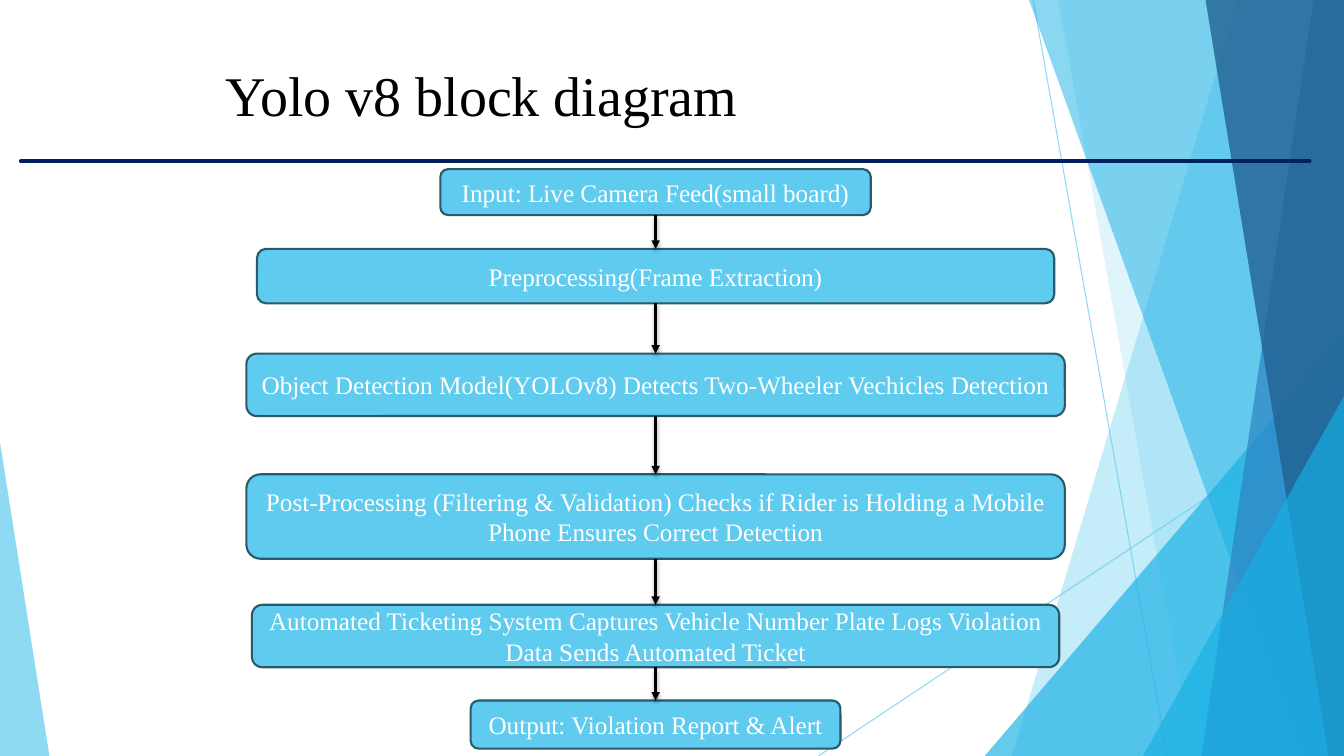
from lxml import etree
from pptx import Presentation
from pptx.dml.color import RGBColor
from pptx.enum.shapes import MSO_CONNECTOR, MSO_SHAPE
from pptx.enum.text import MSO_ANCHOR, MSO_AUTO_SIZE, PP_ALIGN
from pptx.oxml.ns import qn
from pptx.util import Pt

STRAIGHT = MSO_CONNECTOR.STRAIGHT
ROUND = MSO_SHAPE.ROUNDED_RECTANGLE
TRIANGLE = MSO_SHAPE.ISOSCELES_TRIANGLE
MIDDLE = MSO_ANCHOR.MIDDLE
GROW = MSO_AUTO_SIZE.SHAPE_TO_FIT_TEXT
LEFT, CENTER = PP_ALIGN.LEFT, PP_ALIGN.CENTER

SKY = RGBColor(0x5F, 0xCB, 0xEF)
CYAN = RGBColor(0x17, 0xB0, 0xE4)
BLUE = RGBColor(0x2E, 0x83, 0xC3)
DEEP = RGBColor(0x22, 0x62, 0x92)
NAVY = RGBColor(0x00, 0x20, 0x60)
EDGE = RGBColor(0x2A, 0x59, 0x69)
BLACK = RGBColor(0, 0, 0)
WHITE = RGBColor(255, 255, 255)

WIDTH, HEIGHT = 960, 540
AXIS = 468.3  # centre line of the flow


def write(frame, text, size=18, color=WHITE, align=CENTER):
    frame.word_wrap = True
    para = frame.paragraphs[0]
    para.alignment = align
    run = para.add_run()
    run.text = text
    run.font.name = "Times New Roman"
    run.font.size = Pt(size)
    run.font.color.rgb = color


def fade(node, percent):
    """Set the opacity of the colour inside a fill or line."""
    color = next(node.iter(qn("a:srgbClr")))
    etree.SubElement(color, qn("a:alpha"), val=str(percent * 1000))


class Deck:
    def __init__(self, slide, font_size=18):
        self.shapes = slide.shapes
        self.size = font_size

    def paint(self, shape, color, alpha):
        shape.shadow.inherit = False
        shape.fill.solid()
        shape.fill.fore_color.rgb = color
        shape.line.fill.background()
        fade(shape._element.spPr.find(qn("a:solidFill")), alpha)

    def facet(self, top, base, color, alpha):
        """Fill from a slanted left edge to the right side of the slide."""
        path = self.shapes.build_freeform(Pt(top), 0)
        corners = [(WIDTH, 0), (WIDTH, HEIGHT), (base, HEIGHT)]
        path.add_line_segments([(Pt(x), Pt(y)) for x, y in corners])
        self.paint(path.convert_to_shape(), color, alpha)

    def wedge(self, left, top, width, apex, color, alpha):
        """Triangle that stands on the bottom of the slide."""
        shape = self.shapes.add_shape(
            TRIANGLE, Pt(left), Pt(top), Pt(width), Pt(HEIGHT - top))
        shape.adjustments[0] = apex
        self.paint(shape, color, alpha)

    def line(self, x1, y1, x2, y2, color, width):
        link = self.shapes.add_connector(
            STRAIGHT, Pt(x1), Pt(y1), Pt(x2), Pt(y2))
        link.line.color.rgb = color
        link.line.width = Pt(width)
        etree.SubElement(link._element.spPr, qn("a:effectLst"))
        return link

    def arrow(self, start, end):
        link = self.line(AXIS, 0, AXIS, 0, BLACK, 2)
        link.begin_connect(start, 2)
        link.end_connect(end, 0)
        etree.SubElement(link.line._ln, qn("a:tailEnd"), type="triangle")
        effects = link._element.spPr.find(qn("a:effectLst"))
        shadow = etree.SubElement(
            effects, qn("a:outerShdw"), blurRad=str(Pt(3)), dist=str(Pt(2)),
            dir="5400000", rotWithShape="0")
        etree.SubElement(shadow, qn("a:srgbClr"), val=str(BLACK))
        fade(shadow, 35)

    def title(self, text, left, top, width, height):
        box = self.shapes.add_textbox(
            Pt(left), Pt(top), Pt(width), Pt(height))
        write(box.text_frame, text, size=40, color=BLACK, align=LEFT)
        box.text_frame.auto_size = GROW

    def step(self, text, top, width, height):
        box = self.shapes.add_shape(
            ROUND, Pt(AXIS - width / 2), Pt(top), Pt(width), Pt(height))
        box.shadow.inherit = False
        box.fill.solid()
        box.fill.fore_color.rgb = SKY
        box.line.color.rgb = EDGE
        box.line.width = Pt(1.5)
        box.text_frame.vertical_anchor = MIDDLE
        write(box.text_frame, text, size=self.size)
        return box


# Text, top, width and height of each box
STEPS = [
    ("Input: Live Camera Feed(small board)", 120.8, 307.4, 32.8),
    ("Preprocessing(Frame Extraction)", 177.8, 569.5, 38.9),
    ("Object Detection Model(YOLOv8) Detects Two-Wheeler Vechicles Detection",
     252.6, 584.6, 44.6),
    ("Post-Processing (Filtering & Validation) Checks if Rider is Holding "
     "a Mobile Phone Ensures Correct Detection", 338.8, 584.6, 60.3),
    ("Automated Ticketing System Captures Vehicle Number Plate Logs "
     "Violation Data Sends Automated Ticket", 432, 576.7, 44.6),
    ("Output: Violation Report & Alert", 500.4, 264.2, 34.4),
]


def main():
    prs = Presentation()
    prs.slide_width, prs.slide_height = Pt(WIDTH), Pt(HEIGHT)
    deck = Deck(prs.slides.add_slide(prs.slide_layouts[6]))

    # Background: thin lines, then overlapping facets
    for ends in [(738, 0, 833.8, HEIGHT), (WIDTH, 290.2, 584.6, HEIGHT)]:
        fade(deck.line(*ends, SKY, 0.75).line._ln, 70)
    deck.facet(884.2, 722.9, SKY, 36)
    deck.facet(756, 851.8, SKY, 20)
    deck.wedge(703.4, 239.8, 256.6, 1, CYAN, 66)
    deck.facet(735.1, 929.5, CYAN, 50)
    deck.facet(938.2, 858.2, BLUE, 70)
    deck.facet(861.1, 949, DEEP, 80)
    deck.wedge(816.5, 283, 143.5, 1, CYAN, 66)
    deck.wedge(0, 316, 35.3, 0, SKY, 70)

    # Heading and rule
    rule = deck.line(15, 115.2, 935.3, 115.2, NAVY, 3)
    rule.line._ln.set("cap", "rnd")
    deck.title("Yolo v8 block diagram", 154, 39.6, 499.7, 55.4)

    # Flow from input to output
    boxes = [deck.step(*row) for row in STEPS]
    for start, end in zip(boxes, boxes[1:]):
        deck.arrow(start, end)

    prs.save("out.pptx")


if __name__ == "__main__":
    main()
